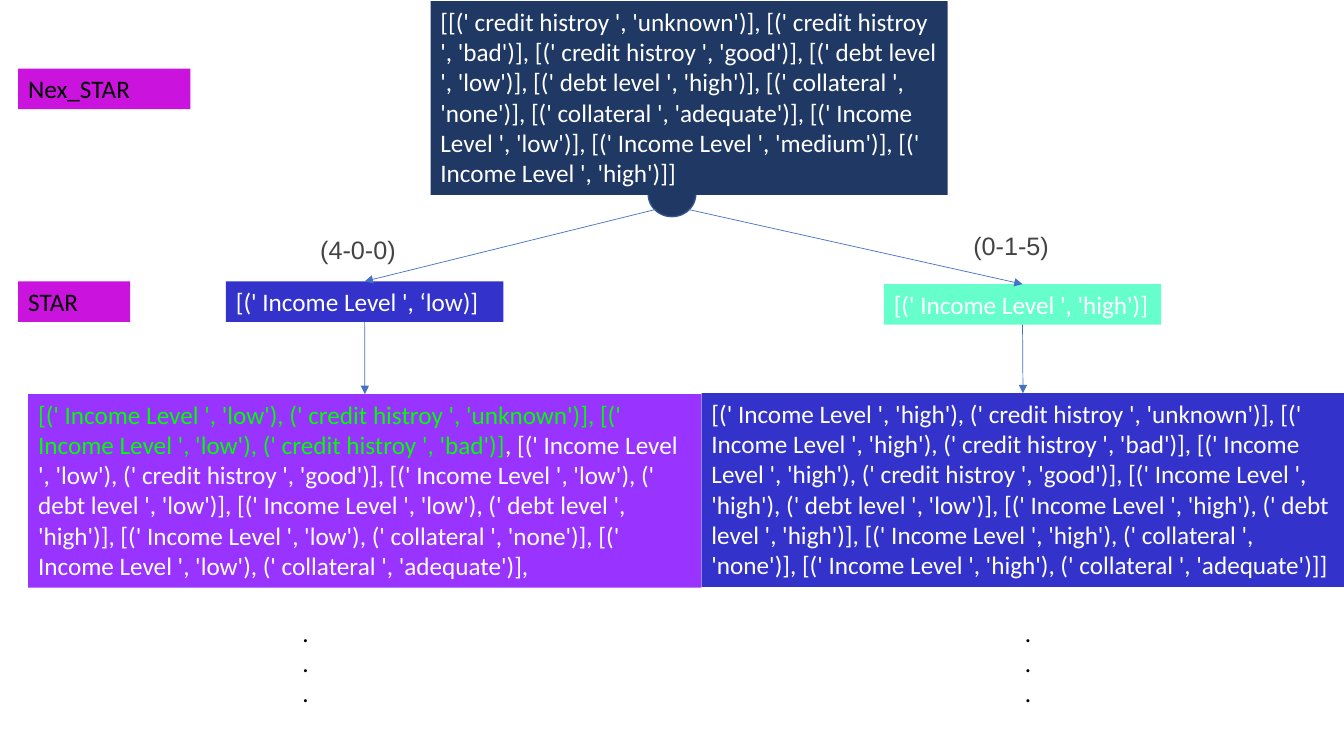
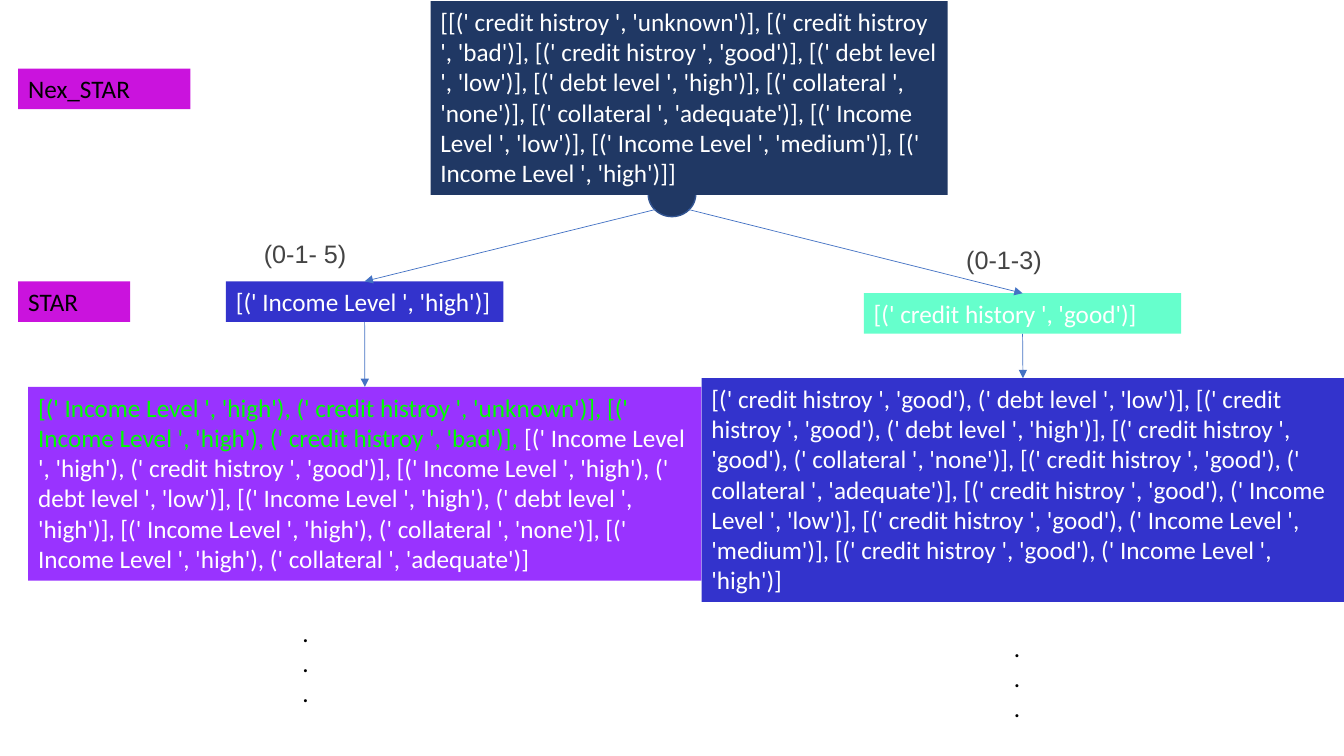
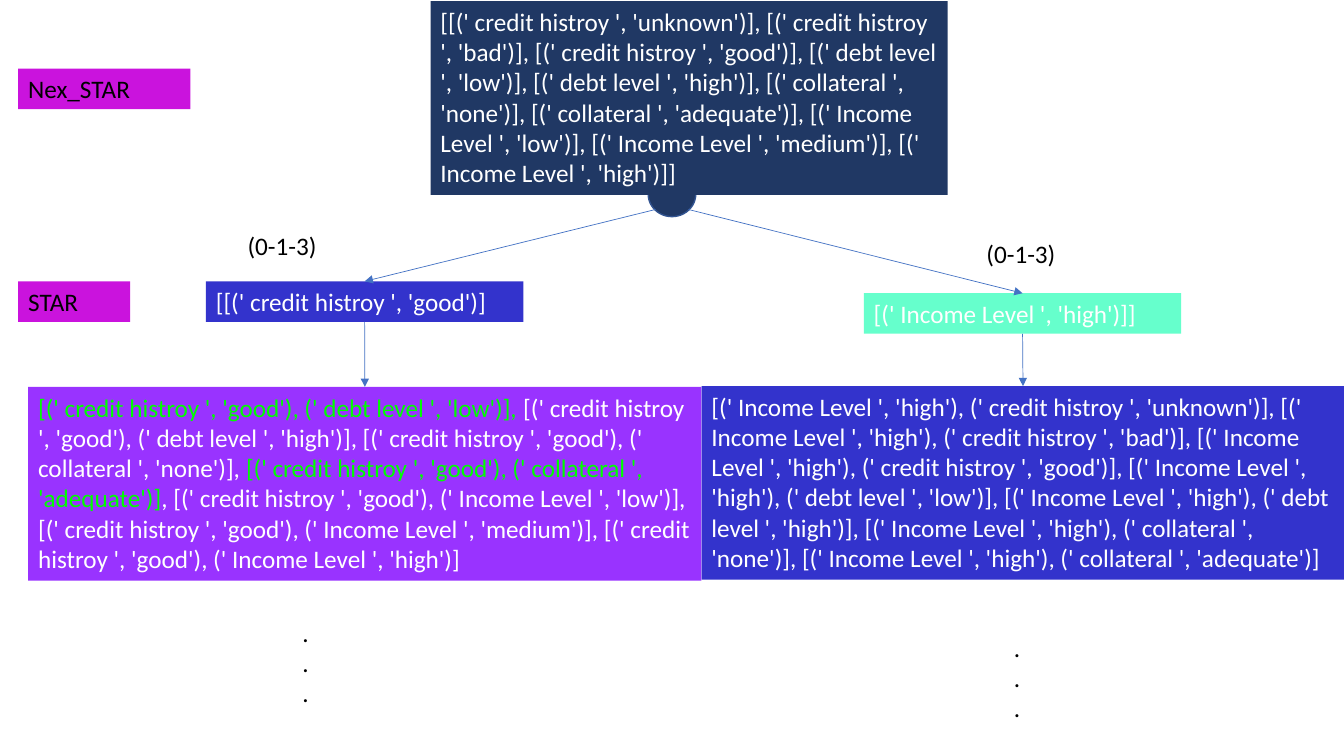
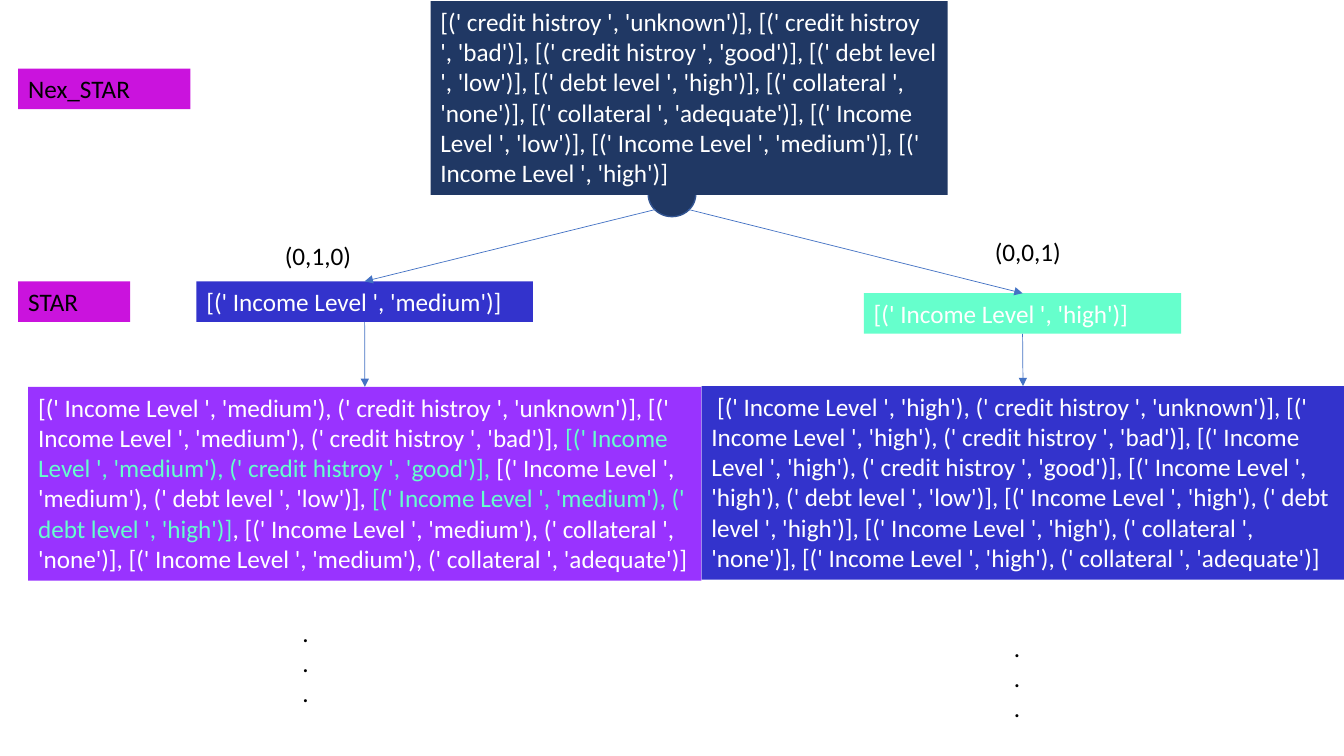
from itertools import groupby

from lxml import etree
from pptx import Presentation
from pptx.dml.color import RGBColor
from pptx.enum import shapes, text
from pptx.oxml.ns import qn
from pptx.util import Cm, Pt

NAVY = RGBColor(0x20, 0x38, 0x64)
NAVY_EDGE = RGBColor(0x32, 0x54, 0x91)
BLUE = RGBColor(0x33, 0x33, 0xCC)
MINT = RGBColor(0x66, 0xFF, 0xCC)
PURPLE = RGBColor(0x99, 0x33, 0xFF)
MAGENTA = RGBColor(0xCA, 0x13, 0xDD)
GREEN = RGBColor(0x00, 0xFF, 0x00)
ARROW = RGBColor(0x44, 0x72, 0xC4)
GREY = RGBColor(0x44, 0x44, 0x44)
WHITE = RGBColor(0xFF, 0xFF, 0xFF)
BLACK = RGBColor(0x00, 0x00, 0x00)

VALUES = {
    "credit histroy": ["unknown", "bad", "good"],
    "debt level": ["low", "high"],
    "collateral": ["none", "adequate"],
    "Income Level": ["low", "medium", "high"],
}
TERMS = [(name, value) for name, values in VALUES.items() for value in values]

INCOME_LOW = ("Income Level", "low")
INCOME_MEDIUM = ("Income Level", "medium")
INCOME_HIGH = ("Income Level", "high")
CREDIT_GOOD = ("credit histroy", "good")

TAGS = [("Nex_STAR", 1.73, 4.34), ("STAR", 7.09, 2.82)]

CALIBRI_COUNT = {"font": "Calibri", "color": BLACK}
ARIAL_COUNT = {"font": "Arial", "color": GREY}

# Each branch: star is the kept rule, term is what its details are built from.
SLIDES = [
    {
        "brackets": "[]",
        "count_style": ARIAL_COUNT,
        "branches": [
            {"star": "[(' Income Level ', ‘low)]", "star_box": (7.09, 6.99),
             "count": "(4-0-0)", "count_box": (7.82, 5.79, 3.02),
             "term": INCOME_LOW, "detail_box": (9.93, 4.88), "after": ",",
             "marked": [0, 1], "plain_commas": [1], "mark": GREEN,
             "dots": (7.37, 15.42)},
            {"star": "[(' Income Level ', 'high')]", "star_box": (7.16, 6.99),
             "count": "(0-1-5)", "count_box": (24.28, 5.69, 2.57),
             "term": INCOME_HIGH, "detail_box": (9.91, 4.88), "after": "]",
             "dots": (25.58, 15.42)},
        ],
    },
    {
        "brackets": "[]",
        "count_style": ARIAL_COUNT,
        "branches": [
            {"star": "[(' Income Level ', 'high')]", "star_box": (7.09, 6.99),
             "count": "(0-1- 5)", "count_box": (6.4, 5.87, 2.79),
             "term": INCOME_HIGH, "detail_box": (9.75, 4.88),
             "marked": [0, 1], "mark": GREEN, "dots": (7.37, 15.42)},
            {"star": "[(' credit history ', 'good')]", "star_box": (7.39, 8),
             "count": "(0-1-3)", "count_box": (24.1, 6.02, 2.74),
             "term": CREDIT_GOOD, "detail_box": (9.53, 5.64),
             "dots": (25.3, 15.8)},
        ],
    },
    {
        "brackets": "[]",
        "count_style": CALIBRI_COUNT,
        "branches": [
            {"star": "[[(' credit histroy ', 'good')]", "star_box": (7.09, 8),
             "count": "(0-1-3)", "count_box": (5.99, 5.69, 3.58),
             "term": CREDIT_GOOD, "detail_box": (9.75, 4.88),
             "marked": [0, 3], "plain_commas": [3], "mark": GREEN,
             "dots": (7.37, 15.42)},
            {"star": "[(' Income Level ', 'high')]]", "star_box": (7.39, 8),
             "count": "(0-1-3)", "count_box": (24.61, 5.87, 3.58),
             "term": INCOME_HIGH, "detail_box": (9.73, 4.88),
             "dots": (25.3, 15.8)},
        ],
    },
    {
        "brackets": "",
        "count_style": CALIBRI_COUNT,
        "branches": [
            {"star": "[(' Income Level ', 'medium')]", "star_box": (7.09, 8.48),
             "count": "(0,1,0)", "count_box": (6.93, 5.94, 2.82),
             "term": INCOME_MEDIUM, "detail_box": (9.75, 4.88),
             "marked": [2, 4], "plain_commas": [4], "mark": MINT,
             "dots": (7.37, 15.42)},
            {"star": "[(' Income Level ', 'high')]", "star_box": (7.39, 8),
             "count": "(0,0,1)", "count_box": (24.82, 5.84, 2.82),
             "term": INCOME_HIGH, "detail_box": (9.73, 4.88), "before": " ",
             "dots": (25.3, 15.8)},
        ],
    },
]

SIDES = [
    {"axis": 9.19, "detail_left": 0.71, "detail_width": 16.97,
     "star_fill": BLUE, "detail_fill": PURPLE, "direction": -1},
    {"axis": 25.77, "detail_left": 17.68, "detail_width": 16.2,
     "star_fill": MINT, "detail_fill": BLUE, "direction": 1},
]
WIDTH, HEIGHT = 33.87, 19.05
LINE_HEIGHT = 1.02
HUB_REACH, HUB_EXIT = 0.42, 5.28


def rule(*terms):
    return "[" + ", ".join(f"(' {name} ', '{value}')" for name, value in terms) + "]"


def root_text(brackets):
    joined = ", ".join(rule(term) for term in TERMS)
    return f"[{joined}]" if brackets else joined


def detail_runs(branch):
    first = branch["term"]
    rules = [rule(first, term) for term in TERMS if term[0] != first[0]]
    pieces = [(branch.get("before", ""), WHITE)]
    for index, words in enumerate(rules):
        color = branch["mark"] if index in branch.get("marked", []) else WHITE
        pieces.append((words, color))
        if index < len(rules) - 1:
            plain = index in branch.get("plain_commas", [])
            pieces.append((", ", WHITE if plain else color))
    pieces.append((branch.get("after", ""), WHITE))
    pieces = [piece for piece in pieces if piece[0]]
    return [("".join(words for words, _ in group), color)
            for color, group in groupby(pieces, key=lambda piece: piece[1])]


def write(shape, paragraphs, font="Calibri"):
    frame = shape.text_frame
    settings = {"word_wrap": True, "vertical_anchor": text.MSO_ANCHOR.TOP,
                "auto_size": text.MSO_AUTO_SIZE.SHAPE_TO_FIT_TEXT}
    for name, value in settings.items():
        setattr(frame, name, value)
    for index, runs in enumerate(paragraphs):
        paragraph = frame.add_paragraph() if index else frame.paragraphs[0]
        paragraph.alignment = text.PP_ALIGN.LEFT
        for words, color in runs:
            run = paragraph.add_run()
            run.text = words
            for name, value in {"name": font, "size": Pt(18)}.items():
                setattr(run.font, name, value)
            run.font.color.rgb = color


def add_filled(slide, kind, box, fill):
    shape = slide.shapes.add_shape(kind, *map(Cm, box))
    shape.shadow.inherit = False
    shape.fill.solid()
    shape.fill.fore_color.rgb = fill
    shape.line.fill.background()
    return shape


def add_block(slide, box, fill, runs):
    shape = add_filled(slide, shapes.MSO_SHAPE.RECTANGLE, box, fill)
    write(shape, [runs])
    return shape


def add_label(slide, box, paragraphs, font="Calibri"):
    write(slide.shapes.add_textbox(*map(Cm, box)), paragraphs, font)


def add_arrow(slide, start, end):
    arrow = slide.shapes.add_connector(
        shapes.MSO_CONNECTOR.STRAIGHT, *map(Cm, start), 0, 0)
    arrow.end_connect(end, 0)
    arrow.line.color.rgb = ARROW
    arrow.line.width = Pt(0.5)
    etree.SubElement(arrow.line._get_or_add_ln(), qn("a:tailEnd"), type="triangle")
    etree.SubElement(arrow._element.spPr, qn("a:effectLst"))
    return arrow


def add_branch(slide, side, branch, count_style):
    top, width = branch["star_box"]
    star = add_block(slide, (side["axis"] - width / 2, top, width, LINE_HEIGHT),
                     side["star_fill"], [(branch["star"], WHITE)])
    top, height = branch["detail_box"]
    detail = add_block(
        slide, (side["detail_left"], top, side["detail_width"], height),
        side["detail_fill"], detail_runs(branch))
    hub_edge = WIDTH / 2 + side["direction"] * HUB_REACH
    add_arrow(slide, (hub_edge, HUB_EXIT), star)
    add_arrow(slide, (0, 0), detail).begin_connect(star, 2)
    add_label(slide, (*branch["dots"], 0.91, 2.57), [[(".", BLACK)]] * 3)
    add_label(slide, (*branch["count_box"], LINE_HEIGHT),
              [[(branch["count"], count_style["color"])]], count_style["font"])


def build_slide(presentation, content):
    slide = presentation.slides.add_slide(presentation.slide_layouts[6])
    hub = add_filled(slide, shapes.MSO_SHAPE.OVAL,
                     (WIDTH / 2 - 0.6, 4.32, 1.2, 1.14), NAVY)
    hub.line.color.rgb = NAVY_EDGE
    hub.line.width = Pt(1)
    add_block(slide, (10.85, 0.03, 13.03, 4.88), NAVY,
              [(root_text(content["brackets"]), WHITE)])
    for words, top, width in TAGS:
        add_block(slide, (0.46, top, width, LINE_HEIGHT), MAGENTA, [(words, BLACK)])
    for side, branch in zip(SIDES, content["branches"]):
        add_branch(slide, side, branch, content["count_style"])


def main():
    presentation = Presentation()
    presentation.slide_width = Cm(WIDTH)
    presentation.slide_height = Cm(HEIGHT)
    for content in SLIDES:
        build_slide(presentation, content)
    presentation.save("out.pptx")


if __name__ == "__main__":
    main()
